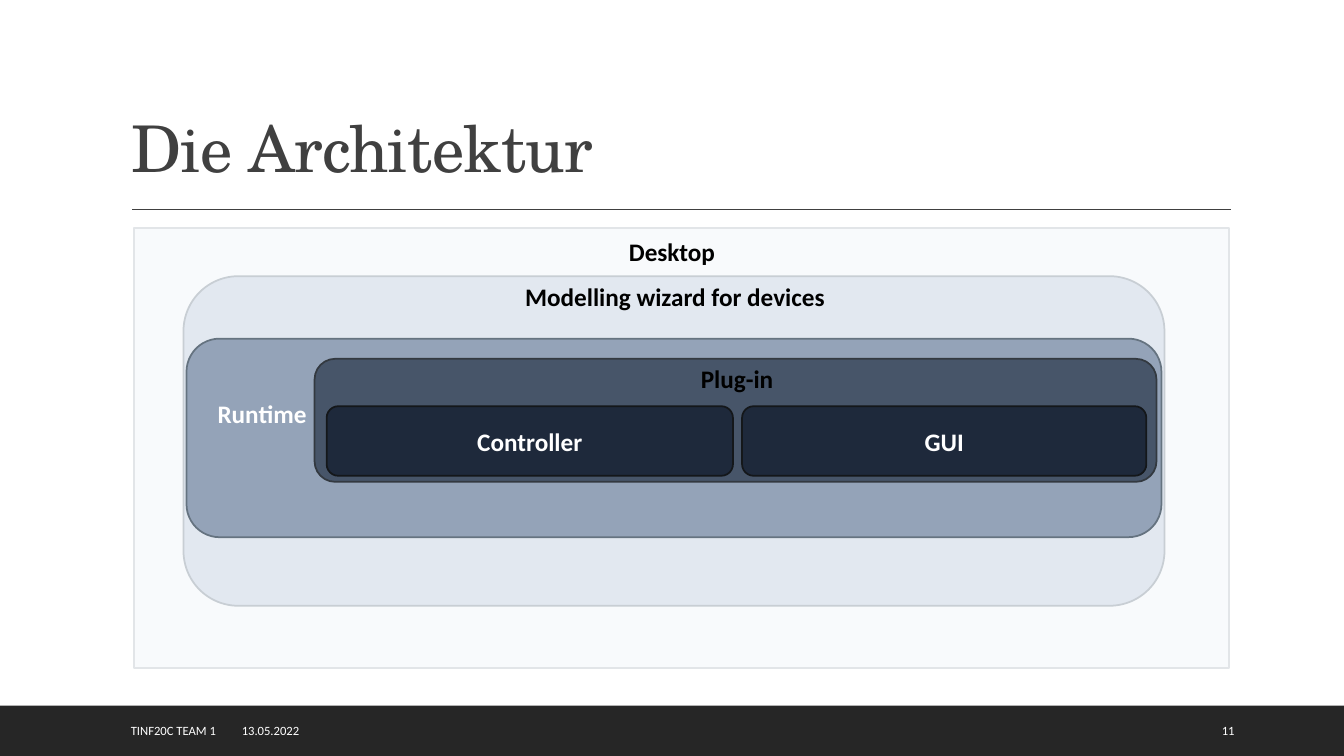
import pptx
import pptx.dml.color
import pptx.enum.shapes
import pptx.enum.text
import pptx.oxml.ns
import pptx.util
from lxml import etree

Inches, Pt = pptx.util.Inches, pptx.util.Pt
SHAPE = pptx.enum.shapes.MSO_SHAPE
ALIGN = pptx.enum.text.PP_ALIGN
ANCHOR = pptx.enum.text.MSO_ANCHOR
qn = pptx.oxml.ns.qn

COLORS = {
    "white": "FFFFFF", "black": "000000", "title": "404040", "band": "262626",
    "system": "F8FAFC", "system_edge": "E2E5E8",
    "wizard": "E2E8F0", "wizard_edge": "C8CED4",
    "runtime": "94A3B8", "runtime_edge": "657380",
    "plugin": "475569", "plugin_edge": "333940",
    "part": "1E293B", "part_edge": "14171A",
}


def rgb(name):
    return pptx.dml.color.RGBColor.from_string(COLORS[name])


def write(tf, text, size=18, color="black", bold=True, font="Calibri",
          align=ALIGN.CENTER, anchor=ANCHOR.TOP, wrap=True, tab=None):
    """Put one formatted run into a text frame and return the run."""
    tf.word_wrap = wrap
    tf.auto_size = pptx.enum.text.MSO_AUTO_SIZE.NONE
    tf.vertical_anchor = anchor
    p = tf.paragraphs[0]
    p.alignment = align
    if tab:
        tabs = etree.SubElement(p._p.get_or_add_pPr(), qn("a:tabLst"))
        etree.SubElement(tabs, qn("a:tab"), pos=str(Inches(tab)), algn="l")
    r = p.add_run()
    r.text = text
    r.font.size, r.font.bold, r.font.name = Pt(size), bold, font
    r.font.color.rgb = rgb(color)
    return r


class Deck:
    def __init__(self, width, height):
        self.prs = pptx.Presentation()
        self.prs.slide_width, self.prs.slide_height = Inches(width), Inches(height)
        self.s = self.prs.slides.add_slide(self.prs.slide_layouts[5])

    def title(self, text, *box):
        sp = self.s.shapes.title
        sp.left, sp.top, sp.width, sp.height = map(Inches, box)
        r = write(sp.text_frame, text, size=46, color="title", bold=False,
                  font="TeX Gyre Schola", align=ALIGN.LEFT, anchor=ANCHOR.BOTTOM)
        r._r.get_or_add_rPr().set("spc", "-50")
        sp.text_frame.paragraphs[0].line_spacing = 0.9

    def box(self, kind, fill, *box, edge=None, text=None):
        sp = self.s.shapes.add_shape(kind, *map(Inches, box))
        sp.shadow.inherit = False
        sp.fill.solid()
        sp.fill.fore_color.rgb = rgb(fill)
        if edge:
            sp.line.color.rgb = rgb(edge)
            sp.line.width = Pt(1.25)
        else:
            sp.line.fill.background()
        if text:
            write(sp.text_frame, text, color="white", anchor=ANCHOR.MIDDLE)

    def layer(self, name, *box, kind=SHAPE.ROUNDED_RECTANGLE, text=None):
        self.box(kind, name, *box, edge=name + "_edge", text=text)

    def label(self, text, *box, **fmt):
        sp = self.s.shapes.add_textbox(*map(Inches, box))
        write(sp.text_frame, text, **fmt)

    def rule(self, x1, x2, y):
        cn = self.s.shapes.add_connector(pptx.enum.shapes.MSO_CONNECTOR.STRAIGHT,
                                         *map(Inches, (x1, y, x2, y)))
        cn.line.color.rgb = rgb("title")
        cn.line.width = Pt(1)
        etree.SubElement(cn._element.spPr, qn("a:effectLst"))


def main():
    deck = Deck(13.33, 7.5)

    # Frame: footer band, rule and title
    deck.box(SHAPE.RECTANGLE, "band", 0, 7, 13.33, 0.5)
    deck.rule(1.31, 12.21, 2.08)
    deck.title("Die Architektur", 1.2, 0.31, 11, 1.59)

    # Footer text and slide number
    footer = dict(size=9, color="white", bold=False, align=ALIGN.LEFT,
                  anchor=ANCHOR.MIDDLE)
    deck.label("TINF20C TEAM 1\t13.05.2022", 1.2, 7.05, 7.46, 0.4, tab=1.1, **footer)
    deck.label("11", 12.02, 7.05, 0.85, 0.4, **footer)

    # Nested layers, outermost first
    deck.layer("system", 1.33, 2.26, 10.86, 4.37, kind=SHAPE.RECTANGLE)
    deck.label("Desktop", 6, 2.3, 1.33, 0.4)
    deck.layer("wizard", 1.82, 2.74, 9.73, 3.27)
    deck.label("Modelling wizard for devices", 4.64, 2.74, 4.11, 0.4)
    deck.layer("runtime", 1.85, 3.36, 9.67, 1.97)
    deck.layer("plugin", 3.12, 3.56, 8.35, 1.22)
    deck.label("Plug-in", 6.8, 3.56, 1.02, 0.4, wrap=False)

    # Parts of the plug-in
    for text, left, width in (("Controller", 3.24, 4.03), ("GUI", 7.36, 4.01)):
        deck.layer("part", left, 4.03, width, 0.69, text=text)
    deck.label("Runtime", 2.06, 3.9, 3, 0.4, color="white", align=ALIGN.LEFT)

    deck.prs.save("out.pptx")


if __name__ == "__main__":
    main()
